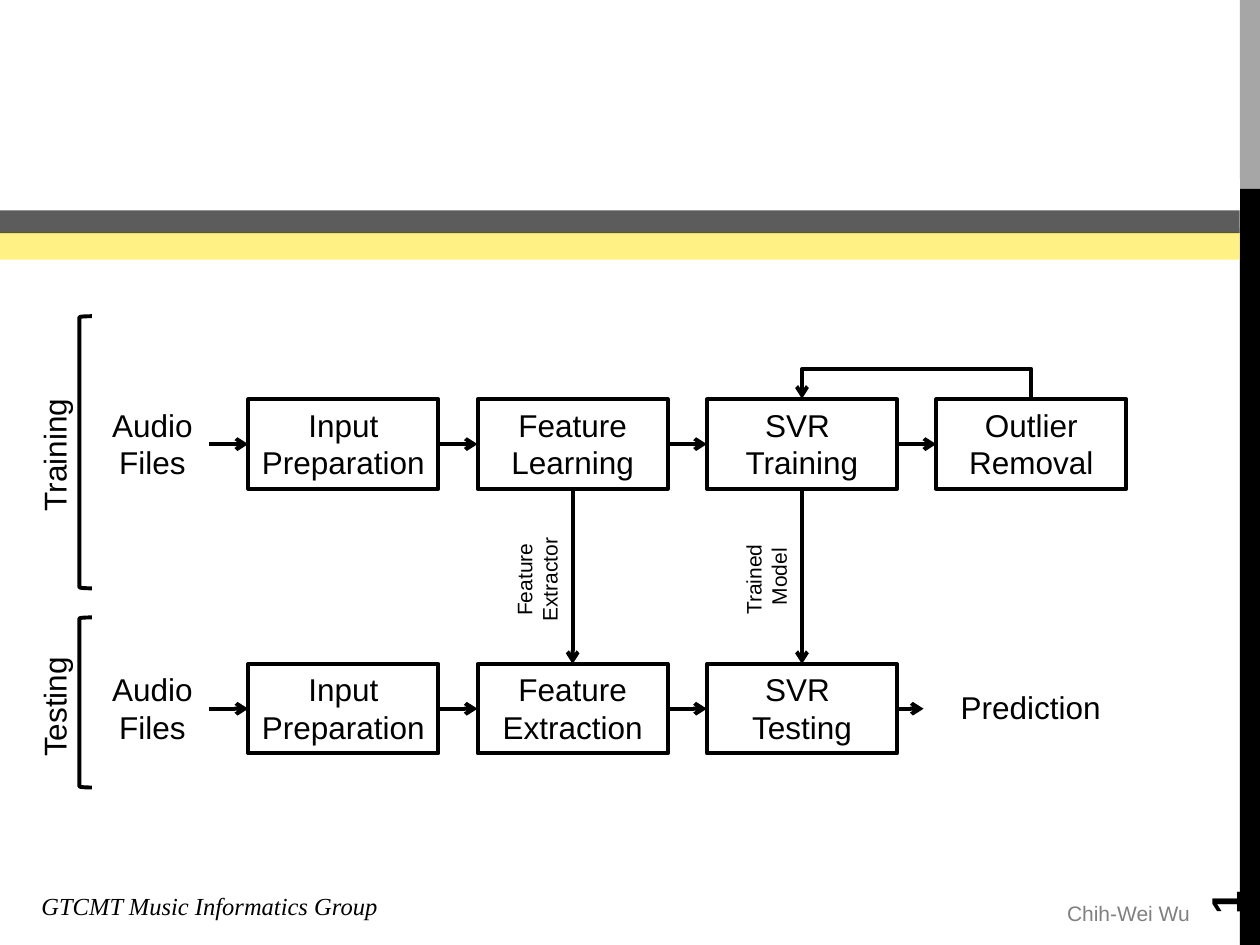
from lxml import etree
from pptx import Presentation, util as u
from pptx.dml.color import RGBColor
from pptx.enum import shapes, text
from pptx.oxml import ns

BLACK = RGBColor(0x00, 0x00, 0x00)
WHITE = RGBColor(0xFF, 0xFF, 0xFF)
SILVER = RGBColor(0xA6, 0xA6, 0xA6)
GREY = RGBColor(0x80, 0x80, 0x80)
YELLOW = RGBColor(0xFF, 0xE9, 0x3B)

# Flow grid, in inches
LEFT, COLUMN_STEP = 1.97, 1.82
ROW_TOPS = TRAINING, TESTING = 3.17, 5.27
BOX_WIDTH, BOX_HEIGHT = 1.51, 0.71
LINE_WIDTH = 2.25
SIDE = 9.84  # left edge of the side bar

ROWS = {
    TRAINING: ["Input Preparation", "Feature Learning", "SVR \nTraining", "Outlier\nRemoval"],
    TESTING: ["Input Preparation", "Feature Extraction", "SVR \nTesting"],
}


def column_left(column):
    return LEFT + column * COLUMN_STEP


def column_center(column):
    return column_left(column) + BOX_WIDTH / 2


def inches(*lengths):
    return [u.Inches(length) for length in lengths]


def write(box, words, size=18, color=BLACK, align=text.PP_ALIGN.CENTER, font="Arial",
          bold=False, italic=False, wrap=True, anchor=text.MSO_ANCHOR.TOP):
    frame = box.text_frame
    frame.text = words
    frame.word_wrap = wrap
    frame.auto_size = text.MSO_AUTO_SIZE.NONE
    frame.vertical_anchor = anchor
    for para in frame.paragraphs:
        para.alignment = align
        for span in para.runs:
            span.font.name, span.font.size = font, u.Pt(size)
            span.font.bold, span.font.italic = bold, italic
            span.font.color.rgb = color


def add_label(page, words, place, turn=0, **style):
    box = page.shapes.add_textbox(*inches(*place))
    box.rotation = turn
    write(box, words, **style)


def add_band(page, place, color, opacity=100):
    band = page.shapes.add_shape(shapes.MSO_SHAPE.RECTANGLE, *inches(*place))
    band.shadow.inherit = False
    band.line.fill.background()
    band.fill.solid()
    band.fill.fore_color.rgb = color
    if opacity < 100:
        tint = band.fill._xPr.find(".//" + ns.qn("a:srgbClr"))
        etree.SubElement(tint, ns.qn("a:alpha"), val=str(opacity * 1000))


def add_outline(page, kind, place):
    outline = page.shapes.add_shape(kind, *inches(*place))
    outline.shadow.inherit = False
    outline.fill.background()
    outline.line.color.rgb = BLACK
    outline.line.width = u.Pt(LINE_WIDTH)
    return outline


def add_step(page, words, column, top):
    place = column_left(column), top, BOX_WIDTH, BOX_HEIGHT
    write(add_outline(page, shapes.MSO_SHAPE.RECTANGLE, place), words)


def add_arrow(page, start, end, kind=shapes.MSO_CONNECTOR.STRAIGHT):
    arrow = page.shapes.add_connector(kind, *inches(*start, *end))
    arrow.line.color.rgb = BLACK
    arrow.line.width = u.Pt(LINE_WIDTH)
    etree.SubElement(arrow.line._get_or_add_ln(), ns.qn("a:tailEnd"), type="arrow")
    etree.SubElement(arrow._element.spPr, ns.qn("a:effectLst"))
    return arrow


def add_loop(page, start_column, end_column, top, rise):
    """Elbow arrow that leaves one box upwards and enters another from above."""
    depth = 0.01
    span = column_center(start_column) - column_center(end_column)
    middle = (column_center(start_column) + column_center(end_column)) / 2
    left, upper = middle - depth / 2, top - span / 2
    loop = add_arrow(page, (left, upper), (left + depth, upper + span),
                     shapes.MSO_CONNECTOR.ELBOW)
    properties = loop._element.spPr
    frame = properties.find(ns.qn("a:xfrm"))
    frame.set("rot", str(270 * 60000))
    frame.set("flipV", "1")
    guides = properties.find(ns.qn("a:prstGeom")).get_or_add_avLst()
    etree.SubElement(guides, ns.qn("a:gd"), name="adj1",
                     fmla=f"val {round(rise / depth * 100000)}")


def add_frame(page):
    # Side bar and title stripes
    add_band(page, (SIDE, 0, 0.16, 1.5), SILVER)
    add_band(page, (SIDE, 1.5, 0.16, 6), BLACK)
    add_band(page, (0, 1.42, SIDE, 0.39), WHITE)
    add_band(page, (-0.02, 1.84, SIDE + 0.02, 0.22), YELLOW, 63)
    add_band(page, (-0.02, 1.67, SIDE + 0.02, 0.18), BLACK, 64)

    # Footer and page number
    left = text.PP_ALIGN.LEFT
    add_label(page, "GTCMT Music Informatics Group", (0.23, 7.02, 2.95, 0.34), size=14,
              font="Times New Roman", italic=True, align=left, wrap=False)
    add_label(page, "Chih-Wei Wu", (8.37, 7.1, 1.19, 0.3), size=12, color=GREY,
              align=left, wrap=False)
    add_label(page, "1", (9, 6.44, 1.44, 0.4), turn=270, size=24, bold=True, align=left,
              anchor=text.MSO_ANCHOR.MIDDLE)


def add_flow(page):
    # Both rows: input label, boxes and the arrows into them
    for top, steps in ROWS.items():
        middle = top + BOX_HEIGHT / 2
        add_label(page, "Audio\nFiles", (0.75, top, 0.92, BOX_HEIGHT))
        for column, words in enumerate(steps):
            add_step(page, words, column, top)
            end = column_left(column)
            add_arrow(page, (end + BOX_WIDTH - COLUMN_STEP, middle), (end, middle))

    # Result of testing
    middle = TESTING + BOX_HEIGHT / 2
    add_arrow(page, (column_left(2) + BOX_WIDTH, middle), (7.33, middle))
    add_label(page, "Prediction", (7.33, 5.41, 1.7, 0.4))

    # What training hands down to testing
    for column, words in ((1, "Feature Extractor"), (2, "Trained\n Model")):
        center = column_center(column)
        add_arrow(page, (center, TRAINING + BOX_HEIGHT), (center, TESTING))
        add_label(page, words, (center - 0.92, 4.35, 1.27, 0.5), turn=270, size=12)

    add_loop(page, 3, 2, TRAINING, 0.25)


def add_phases(page):
    for words, label_top, top, height in (("Training", 3.41, 2.51, 2.16),
                                          ("Testing", 5.41, 4.9, 1.35)):
        add_outline(page, shapes.MSO_SHAPE.LEFT_BRACKET, (0.63, top, 0.1, height))
        add_label(page, words, (-0.31, label_top, 1.48, 0.4), turn=270)


def main():
    deck = Presentation()
    deck.slide_width, deck.slide_height = inches(10, 7.5)
    page = deck.slides.add_slide(deck.slide_layouts[6])
    add_frame(page)
    add_flow(page)
    add_phases(page)
    deck.save("out.pptx")


if __name__ == "__main__":
    main()
